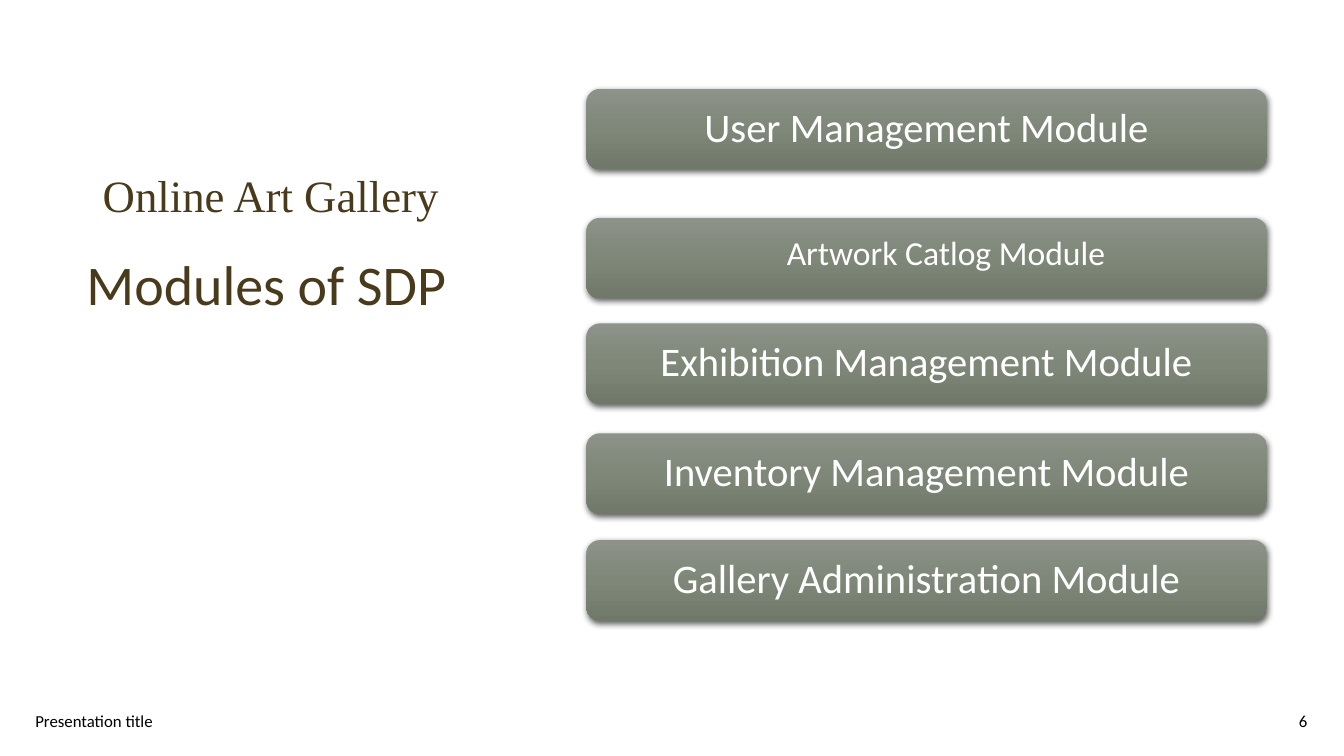
import copy

import lxml.etree
import pptx
import pptx.dml.color
import pptx.enum.shapes
import pptx.enum.text
import pptx.oxml.ns
import pptx.util

Cm = pptx.util.Cm
Pt = pptx.util.Pt
qn = pptx.oxml.ns.qn
RGBColor = pptx.dml.color.RGBColor
Align = pptx.enum.text.PP_ALIGN
Anchor = pptx.enum.text.MSO_ANCHOR

BROWN = RGBColor(0x4A, 0x3A, 0x1C)
BLACK = RGBColor(0x00, 0x00, 0x00)
WHITE = RGBColor(0xFF, 0xFF, 0xFF)
SAGE_LIGHT = RGBColor(0x8D, 0x93, 0x88)
SAGE = RGBColor(0x7E, 0x87, 0x78)
SAGE_DARK = RGBColor(0x70, 0x78, 0x6A)


def apply(target, values):
    for attribute, value in values.items():
        setattr(target, attribute, value)


class ModuleSlide:
    body_font = "Calibri"
    title_font = "Times New Roman"
    card_left, card_width, card_height = Cm(14.78), Cm(17.15), Cm(2.03)
    card_inset = 0.3
    card_stops = ((0, SAGE_LIGHT), (0.5, SAGE), (1, SAGE_DARK))

    def __init__(self, deck):
        self.slide = deck.slides.add_slide(deck.slide_layouts[6])

    def fill_text(self, shape, words, frame, paragraph, font, color):
        apply(shape.text_frame, {"word_wrap": True, **frame})
        line = shape.text_frame.paragraphs[0]
        line.text = words
        apply(line, paragraph)
        apply(line.runs[0].font, {"name": self.body_font, **font})
        line.runs[0].font.color.rgb = color

    def text(self, words, box, size, color, font=body_font,
             anchor=Anchor.MIDDLE, align=Align.LEFT, spacing=1.0):
        shape = self.slide.shapes.add_textbox(*map(Cm, box))
        self.fill_text(shape, words, {"vertical_anchor": anchor},
                       {"alignment": align, "line_spacing": spacing},
                       {"name": font, "size": Pt(size)}, color)

    def card(self, label, top, size=29, shift_right=0, shift_up=0):
        card = self.slide.shapes.add_shape(
            pptx.enum.shapes.MSO_SHAPE.ROUNDED_RECTANGLE,
            self.card_left, Cm(top), self.card_width, self.card_height)
        self.shade(card)
        inset = self.card_inset
        self.fill_text(card, label,
                       {"vertical_anchor": Anchor.MIDDLE,
                        "margin_left": Cm(inset + shift_right),
                        "margin_right": Cm(inset),
                        "margin_top": Cm(inset),
                        "margin_bottom": Cm(inset + shift_up)},
                       {"alignment": Align.CENTER, "line_spacing": 0.9},
                       {"size": Pt(size)}, WHITE)

    def shade(self, card):
        card.line.fill.background()
        card.fill.gradient()
        card.fill.gradient_angle = 270
        stops = card.element.spPr.find(".//" + qn("a:gsLst"))
        stops.append(copy.deepcopy(stops[0]))
        for stop, (position, color) in zip(card.fill.gradient_stops, self.card_stops):
            stop.position = position
            stop.color.rgb = color
        card.shadow.inherit = False
        effects = card.element.spPr.find(qn("a:effectLst"))
        shadow = lxml.etree.SubElement(
            effects, qn("a:outerShdw"), blurRad=str(Pt(4.5)), dist=str(Pt(1.5)),
            dir="5400000", algn="ctr", rotWithShape="0")
        tint = lxml.etree.SubElement(shadow, qn("a:srgbClr"), val=str(BLACK))
        lxml.etree.SubElement(tint, qn("a:alpha"), val="63000")


def main():
    deck = pptx.Presentation()
    apply(deck, {"slide_width": Cm(33.87), "slide_height": Cm(19.05)})
    page = ModuleSlide(deck)
    page.text("Online Art Gallery", (2.34, 1.27, 10.92, 4.45), 32, BROWN,
              font=page.title_font, anchor=Anchor.BOTTOM, spacing=0.9)
    page.text("Modules of SDP", (1.93, 6.17, 11.33, 1.96), 40, BROWN,
              anchor=Anchor.TOP)
    page.card("User Management Module", 2.24)
    page.card("Artwork Catlog Module", 5.49, size=24, shift_right=0.97, shift_up=0.2)
    page.card("Exhibition Management Module", 8.15)
    page.card("Inventory Management Module", 10.92)
    page.card("Gallery Administration Module", 13.61)
    page.text("Presentation title", (0.64, 17.65, 11.43, 1.02), 12, BLACK)
    page.text("6", (25.58, 17.65, 7.62, 1.02), 12, BLACK, align=Align.RIGHT)
    deck.save("out.pptx")


if __name__ == "__main__":
    main()
